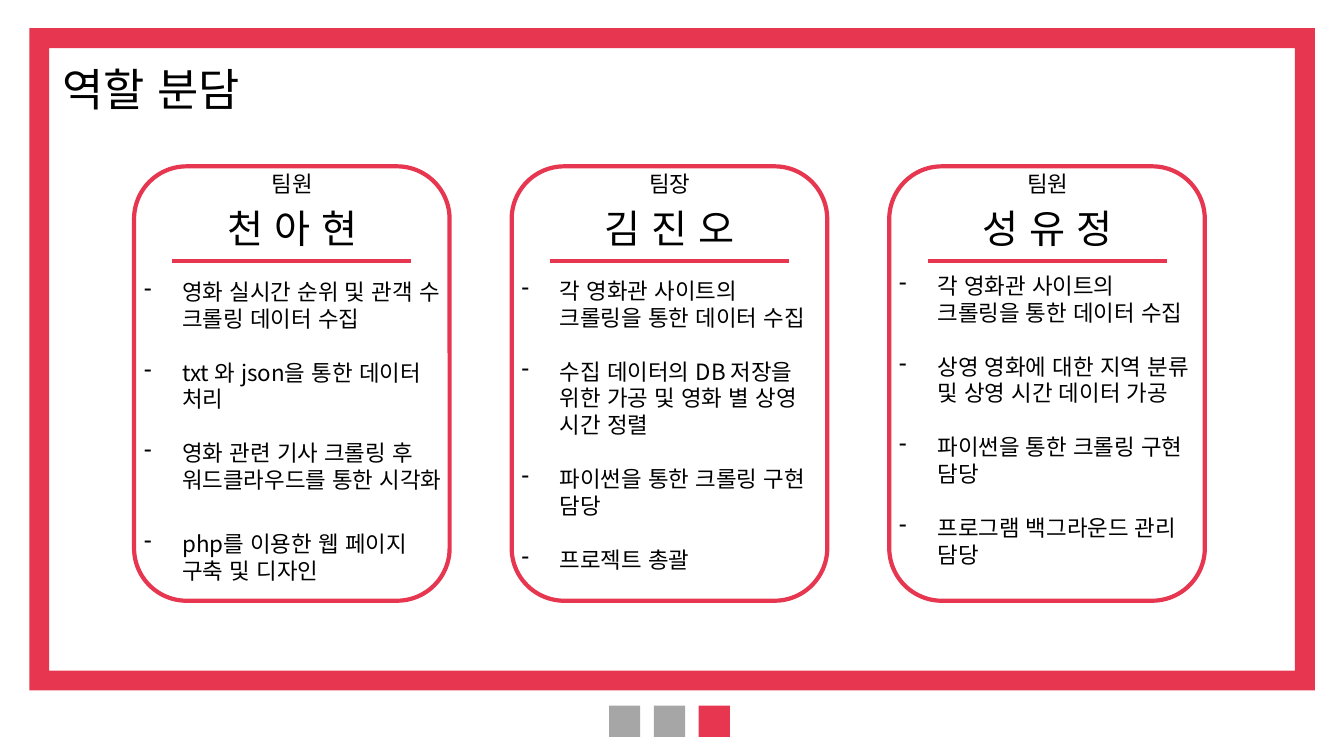
from pptx import Presentation
from pptx.dml.color import RGBColor
from pptx.enum.lang import MSO_LANGUAGE_ID
from pptx.enum.shapes import MSO_CONNECTOR, MSO_SHAPE
from pptx.enum.text import PP_ALIGN
from pptx.oxml.ns import qn
from pptx.util import Inches, Pt
from lxml import etree

KOREAN = MSO_LANGUAGE_ID.KOREAN
CENTER, LEFT = PP_ALIGN.CENTER, PP_ALIGN.LEFT
FRAME, ROUND, RECT = MSO_SHAPE.FRAME, MSO_SHAPE.ROUNDED_RECTANGLE, MSO_SHAPE.RECTANGLE
STRAIGHT = MSO_CONNECTOR.STRAIGHT

# Content
FONT = "Noto Sans CJK KR"
RED, GREY, BLACK = "E63650", "A6A6A6", "000000"
TITLE = "역할 분담"
# role, name, top of the list, tasks as (lines, gap before in points)
TEAM = [
    ("팀원", "천 아 현", 2.71, [
        (["영화 실시간 순위 및 관객 수 크롤링 데이터 수집"], 0),
        (["txt 와 json을 통한 데이터 처리"], 19.2),
        (["영화 관련 기사 크롤링 후", "워드클라우드를 통한 시각화"], 19.2),
        (["php를 이용한 웹 페이지", "구축 및 디자인"], 26.6),
    ]),
    ("팀장", "김 진 오", 2.7, [
        (["각 영화관 사이트의 크롤링을 통한 데이터 수집"], 0),
        (["수집 데이터의 DB 저장을", "위한 가공 및 영화 별 상영", "시간 정렬"], 19.2),
        (["파이썬을 통한 크롤링 구현 담당"], 19.2),
        (["프로젝트 총괄"], 19.2),
    ]),
    ("팀원", "성 유 정", 2.65, [
        (["각 영화관 사이트의 크롤링을 통한 데이터 수집"], 0),
        (["상영 영화에 대한 지역 분류 및 상영 시간 데이터 가공"], 19.2),
        (["파이썬을 통한 크롤링 구현 담당"], 19.2),
        (["프로그램 백그라운드 관리", "담당"], 19.2),
    ]),
]
PAGES = [GREY, GREY, RED]

# Grid, in inches
CARD_X, CARD_Y, CARD_W, CARD_H, CARD_STEP = 1.33, 1.65, 3.13, 4.31, 3.745
RULE_Y, RULE_W = 2.59, 2.37
PAGE_X, PAGE_Y, PAGE_W, PAGE_STEP = 6.04, 7, 0.31, 0.445
INDENT = 0.38

deck = Presentation()
deck.slide_width, deck.slide_height = Inches(13.33), Inches(7.5)
slide = deck.slides.add_slide(deck.slide_layouts[6])
shapes = slide.shapes


def color(code):
    return RGBColor.from_string(code)


def add_box(kind, x, y, w, h, fill=None, line=None):
    box = shapes.add_shape(kind, Inches(x), Inches(y), Inches(w), Inches(h))
    box.shadow.inherit = False
    if fill:
        box.fill.solid()
        box.fill.fore_color.rgb = color(fill)
    else:
        box.fill.background()
    if line:
        box.line.color.rgb = color(line)
        box.line.width = Pt(3)
    else:
        box.line.fill.background()
    return box


def add_frame(x, y, w, h, wrap):
    frame = shapes.add_textbox(Inches(x), Inches(y), Inches(w), Inches(h)).text_frame
    frame.word_wrap = wrap
    return frame


def fill_para(para, lines, size, align):
    para.alignment = align
    para.line_spacing = Pt(size * 1.2)
    for i, line in enumerate(lines):
        if i:
            para.add_line_break()
        run = para.add_run()
        run.text = line
        font = run.font
        font.size, font.name = Pt(size), FONT
        font.language_id = KOREAN
        font.color.rgb = color(BLACK)
        east = etree.SubElement(run._r.get_or_add_rPr(), qn("a:ea"))
        east.set("typeface", FONT)


def add_label(text, x, y, w, h, size):
    fill_para(add_frame(x, y, w, h, False).paragraphs[0], [text], size, CENTER)


def add_tasks(tasks, x, y):
    frame = add_frame(x, y, 3.15, 3.6, True)
    for i, (lines, gap) in enumerate(tasks):
        para = frame.add_paragraph() if i else frame.paragraphs[0]
        fill_para(para, lines, 16, LEFT)
        para.space_before = Pt(gap)
        props = para._p.get_or_add_pPr()
        props.set("marL", str(Inches(INDENT)))
        props.set("indent", str(-Inches(INDENT)))
        etree.SubElement(props, qn("a:buFontTx"))
        etree.SubElement(props, qn("a:buChar")).set("char", "-")


def add_rule(x, y, w):
    rule = shapes.add_connector(STRAIGHT, Inches(x), Inches(y), Inches(x + w), Inches(y))
    rule.line.color.rgb = color(RED)
    rule.line.width = Pt(3)
    etree.SubElement(rule._element.spPr, qn("a:effectLst"))


# Title and border
add_label(TITLE, 0.46, 0.56, 2.08, 0.64, 32)
border = add_box(FRAME, 0.29, 0.28, 12.75, 6.57, fill=RED)
border.adjustments[0] = 0.03

# Team cards
for i, (role, name, top, tasks) in enumerate(TEAM):
    x = CARD_X + i * CARD_STEP
    mid = x + CARD_W / 2
    add_box(ROUND, x, CARD_Y, CARD_W, CARD_H, line=RED)
    add_rule(mid - RULE_W / 2, RULE_Y, RULE_W)
    add_label(role, mid - 0.37, 1.64, 0.75, 0.37, 16)
    add_label(name, mid - 0.96, 1.98, 1.93, 0.57, 28)
    add_tasks(tasks, x, top)

# Page markers
for i, shade in enumerate(PAGES):
    add_box(RECT, PAGE_X + i * PAGE_STEP, PAGE_Y, PAGE_W, PAGE_W, fill=shade)

deck.save("out.pptx")
